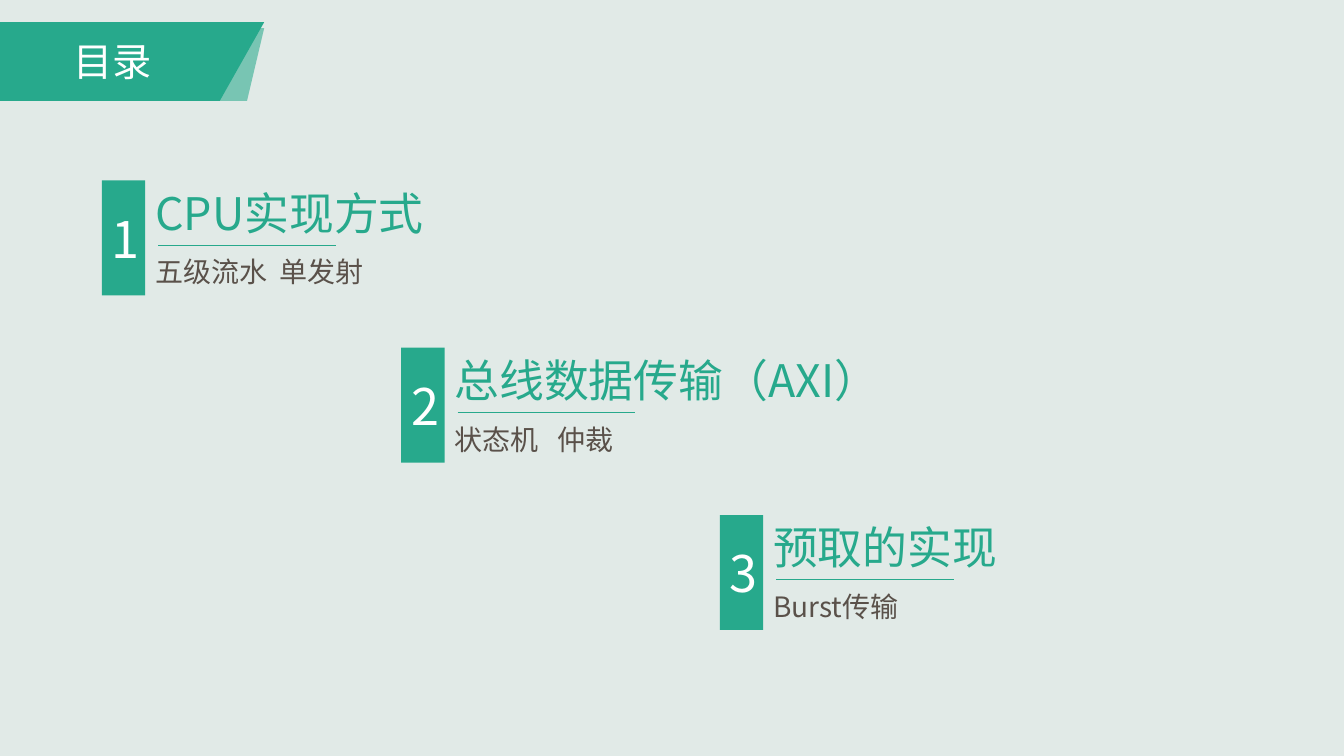
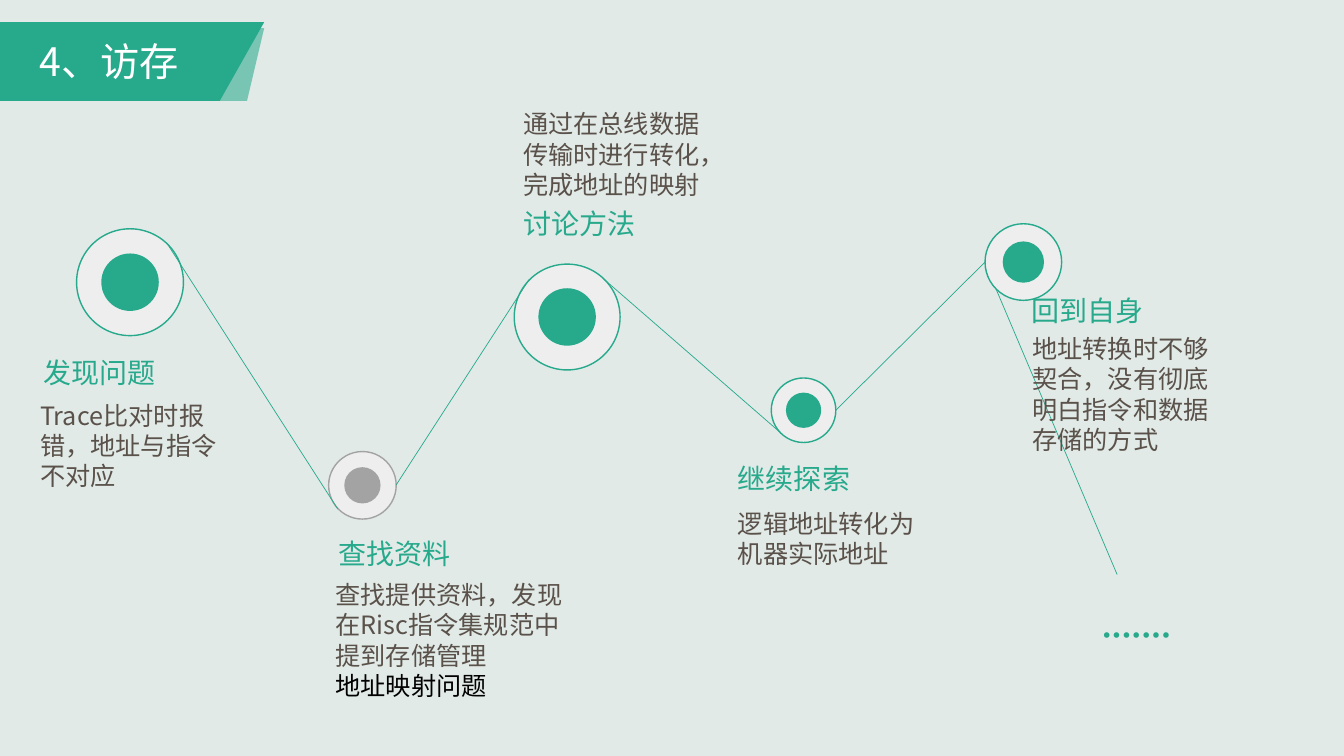
import dataclasses
import pptx
import pptx.dml.color
import pptx.enum.shapes
import pptx.enum.text
import pptx.oxml
import pptx.oxml.ns
import pptx.util
import lxml.etree

Inches = pptx.util.Inches
RGB = pptx.dml.color.RGBColor.from_string
SHAPE = pptx.enum.shapes.MSO_SHAPE
ALIGN = pptx.enum.text.PP_ALIGN
ANCHOR = pptx.enum.text.MSO_ANCHOR
qn = pptx.oxml.ns.qn


@dataclasses.dataclass(frozen=True)
class Theme:
    font: str = "Noto Sans CJK JP"
    dots_font: str = "Calibri"
    background: str = "E1EAE7"
    green: str = "27A98C"
    brown: str = "5A514A"
    gray: str = "A4A3A4"
    ring: str = "EEEEEE"
    white: str = "FFFFFF"
    black: str = "000000"
    title: int = 28
    number: int = 36
    heading: int = 32
    label: int = 20
    body: int = 18
    hairline: float = 0.5
    outline: float = 1


theme = Theme()


def write(box, text, size, color, align=ALIGN.LEFT, font=theme.font, wrap=True):
    frame = box.text_frame
    frame.text = text
    frame.word_wrap = wrap
    for paragraph in frame.paragraphs:
        paragraph.alignment = align
        paragraph.font.size = pptx.util.Pt(size)
        paragraph.font.color.rgb = RGB(color)
        paragraph.font.name = font
        defaults = paragraph._p.pPr.find(qn("a:defRPr"))
        lxml.etree.SubElement(defaults, qn("a:ea")).set("typeface", font)
    return frame


def draw_line(page, start, end):
    line = page.shapes.add_connector(
        pptx.enum.shapes.MSO_CONNECTOR.STRAIGHT, *map(Inches, start + end))
    line.line.color.rgb = RGB(theme.green)
    line.line.width = pptx.util.Pt(theme.hairline)
    lxml.etree.SubElement(line._element.spPr, qn("a:effectLst"))


deck = pptx.Presentation()
deck.slide_width = Inches(13.33)
deck.slide_height = Inches(7.5)
master_fill = deck.slide_master.background.fill
master_fill.solid()
master_fill.fore_color.rgb = RGB(theme.background)

bands = [(0.28, 2.45, 56), (0.22, 2.18, 100)]
pages = []
for title_text, title_left in [("目录", -0.02), ("4、访存", -0.05)]:
    page = deck.slides.add_slide(deck.slide_layouts[5])
    for top, bottom_right, opacity in bands:
        builder = page.shapes.build_freeform(0, Inches(top))
        builder.add_line_segments([
            (Inches(2.62), Inches(top)),
            (Inches(bottom_right), Inches(1)),
            (0, Inches(1)),
        ])
        band = builder.convert_to_shape()
        band.shadow.inherit = False
        band.fill.solid()
        band.fill.fore_color.rgb = RGB(theme.green)
        band.line.fill.background()
        if opacity < 100:
            color = band._element.spPr.find(qn("a:solidFill"))[0]
            lxml.etree.SubElement(color, qn("a:alpha")).set("val", str(opacity * 1000))
    title = page.shapes.title
    page.shapes._spTree.append(title._element)
    title.left, title.top = Inches(title_left), Inches(0.32)
    title.width, title.height = Inches(2.27), Inches(0.57)
    frame = write(title, title_text, theme.title, theme.white, ALIGN.CENTER)
    frame.vertical_anchor = ANCHOR.TOP
    frame.auto_size = pptx.enum.text.MSO_AUTO_SIZE.NONE
    pages.append(page)

contents_page, memory_page = pages

chapters = [
    (1.01, "CPU实现方式", "五级流水\t单发射", 1.23),
    (3.98, "总线数据传输（AXI）", "状态机\t仲裁", 1.02),
    (7.14, "预取的实现", "Burst传输", None),
]
for index, (left, heading, topics, tab_stop) in enumerate(chapters):
    top = 1.79 + 1.66 * index
    text_left = left + 0.43
    bar = contents_page.shapes.add_shape(
        SHAPE.RECTANGLE, Inches(left), Inches(top), Inches(0.43), Inches(1.14))
    bar.shadow.inherit = False
    bar.fill.solid()
    bar.fill.fore_color.rgb = RGB(theme.green)
    bar.line.fill.background()
    frame = write(bar, str(index + 1), theme.number, theme.white, ALIGN.CENTER)
    frame.vertical_anchor = ANCHOR.MIDDLE
    draw_line(contents_page, (left + 0.56, top + 0.64), (left + 2.32, top + 0.64))
    heading_box = contents_page.shapes.add_textbox(
        Inches(text_left), Inches(top), Inches(4.79), Inches(0.64))
    write(heading_box, heading, theme.heading, theme.green)
    topics_box = contents_page.shapes.add_textbox(
        Inches(text_left), Inches(top + 0.69), Inches(4.94), Inches(0.44))
    frame = write(topics_box, topics, theme.label, theme.brown)
    if tab_stop:
        tabs = pptx.oxml.parse_xml(
            '<a:tabLst xmlns:a="http://schemas.openxmlformats.org/drawingml/2006/main">'
            f'<a:tab pos="{Inches(tab_stop)}" algn="l"/></a:tabLst>')
        frame.paragraphs[0]._p.pPr.insert(0, tabs)

nodes = [
    (0.76, 2.27, 1.06, 0.57, theme.green),
    (3.26, 4.48, 0.67, 0.36, theme.gray),
    (5.1, 2.62, 1.05, 0.57, theme.green),
    (7.65, 3.75, 0.64, 0.35, theme.green),
    (9.77, 2.22, 0.76, 0.41, theme.green),
]
for left, top, ring_size, core_size, color in nodes:
    inset = (ring_size - core_size) / 2
    for offset, size, fill, outline in [
        (0, ring_size, theme.ring, color),
        (inset, core_size, color, None),
    ]:
        circle = memory_page.shapes.add_shape(
            SHAPE.OVAL, Inches(left + offset), Inches(top + offset),
            Inches(size), Inches(size))
        circle.shadow.inherit = False
        circle.fill.solid()
        circle.fill.fore_color.rgb = RGB(fill)
        if outline:
            circle.line.color.rgb = RGB(outline)
            circle.line.width = pptx.util.Pt(theme.outline)
        else:
            circle.line.fill.background()

links = [
    ((1.66, 2.42), (3.35, 5.05)),
    ((3.93, 4.81), (5.25, 2.77)),
    ((5.99, 2.77), (7.75, 4.3)),
    ((8.29, 4.07), (9.77, 2.6)),
    ((9.88, 2.87), (11.08, 5.7)),
]
for start, end in links:
    draw_line(memory_page, start, end)

steps = [
    ("发现问题", 0.33, 3.48, "Trace比对时报错，地址与指令不对应", 0.3, 3.92, 2.07, 1.01),
    ("查找资料", 3.26, 5.27,
     "查找提供资料，发现在Risc指令集规范中提到存储管理\n地址映射问题", 3.23, 5.7, 2.46, 1.31),
    ("讨论方法", 5.09, 2, "通过在总线数据传输时进行转化，完成地址的映射", 5.09, 1.03, 2.07, 1.01),
    ("继续探索", 7.22, 4.53, "逻辑地址转化为机器实际地址", 7.22, 4.99, 2.07, 0.71),
    ("回到自身", 10.13, 2.86,
     "地址转换时不够契合，没有彻底明白指令和数据存储的方式", 10.14, 3.26, 2.07, 1.31),
]
for label, label_left, label_top, body, left, top, width, height in steps:
    label_box = memory_page.shapes.add_textbox(
        Inches(label_left), Inches(label_top), Inches(1.32), Inches(0.44))
    write(label_box, label, theme.label, theme.green, wrap=False)
    body_box = memory_page.shapes.add_textbox(
        Inches(left), Inches(top), Inches(width), Inches(height))
    frame = write(body_box, body, theme.body, theme.brown)
    for conclusion in frame.paragraphs[1:]:
        conclusion.font.color.rgb = RGB(theme.black)

dots_box = memory_page.shapes.add_textbox(
    Inches(10.83), Inches(5.98), Inches(0.91), Inches(0.57))
write(dots_box, "·" * 7, theme.title, theme.green, font=theme.dots_font)

deck.save("out.pptx")
